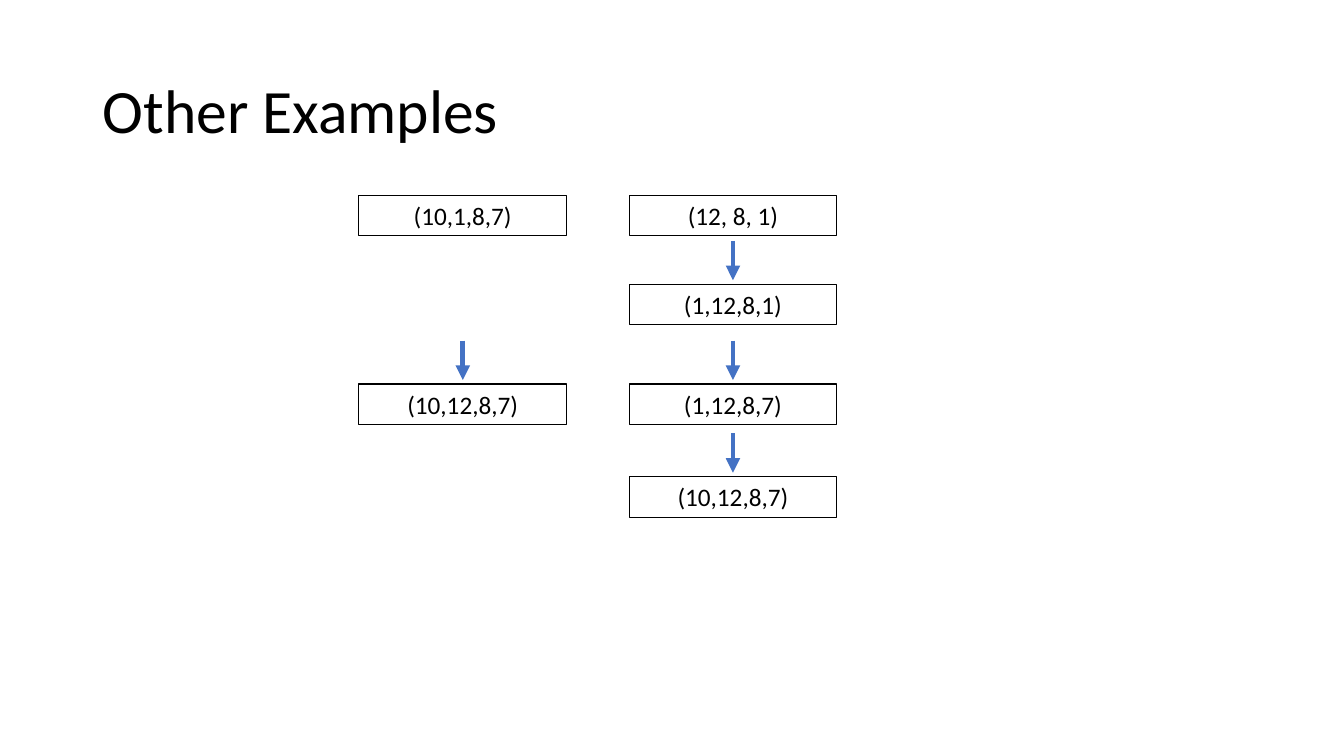
from lxml import etree
from pptx import Presentation
from pptx import util as u
from pptx.dml.color import RGBColor
from pptx.enum import shapes, text
from pptx.oxml.ns import qn

BLACK = "000000"
BLUE = "4472C4"
BOX_WIDTH, BOX_HEIGHT = 2.06, 0.4
ARROW_LENGTH, ARROW_GAP = 0.39, 0.04
ROW_TOPS = [0, 0.88, 1.87, 2.79]


def color(value):
    return RGBColor.from_string(value)


def write_text(shape, content, size=18, align=text.PP_ALIGN.LEFT,
               anchor=text.MSO_ANCHOR.TOP, spacing=1.0,
               auto_size=text.MSO_AUTO_SIZE.NONE):
    frame = shape.text_frame
    frame.word_wrap = True
    frame.auto_size = auto_size
    frame.vertical_anchor = anchor
    paragraph = frame.paragraphs[0]
    paragraph.alignment = align
    paragraph.line_spacing = spacing
    run = paragraph.add_run()
    run.text = content
    run.font.name = "Calibri"
    run.font.size = u.Pt(size)
    run.font.color.rgb = color(BLACK)


def add_title(slide, left, top, width, height, content):
    shape = slide.shapes.add_textbox(*map(u.Inches, (left, top, width, height)))
    write_text(shape, content, size=44, anchor=text.MSO_ANCHOR.MIDDLE, spacing=0.9)


def add_state(slide, left, top, content):
    shape = slide.shapes.add_shape(
        shapes.MSO_SHAPE.RECTANGLE,
        *map(u.Inches, (left, top, BOX_WIDTH, BOX_HEIGHT)))
    shape.shadow.inherit = False
    shape.fill.background()
    shape.line.color.rgb = color(BLACK)
    shape.line.width = u.Pt(0.75)
    write_text(shape, content, align=text.PP_ALIGN.CENTER,
               auto_size=text.MSO_AUTO_SIZE.SHAPE_TO_FIT_TEXT)


def add_arrow(slide, center, bottom):
    connector = slide.shapes.add_connector(
        shapes.MSO_CONNECTOR.STRAIGHT,
        *map(u.Inches, (center, bottom - ARROW_LENGTH, center, bottom)))
    connector.line.color.rgb = color(BLUE)
    connector.line.width = u.Pt(3.5)
    etree.SubElement(connector.line._get_or_add_ln(), qn("a:tailEnd"), type="triangle")
    etree.SubElement(connector._element.spPr, qn("a:effectLst"))


def add_chain(slide, left, top, states):
    for row, content in states.items():
        box_top = top + ROW_TOPS[row]
        add_state(slide, left, box_top, content)
        if row > 0:
            add_arrow(slide, left + BOX_WIDTH / 2, box_top - ARROW_GAP)


def main():
    presentation = Presentation()
    presentation.slide_width = u.Inches(13.33)
    presentation.slide_height = u.Inches(7.5)
    slide = presentation.slides.add_slide(presentation.slide_layouts[6])
    add_title(slide, 0.92, 0.4, 11.5, 1.45, "Other Examples")
    add_chain(slide, 3.56, 1.94, {0: "(10,1,8,7)", 2: "(10,12,8,7)"})
    add_chain(slide, 6.24, 1.94, {0: "(12, 8, 1)", 1: "(1,12,8,1)",
                                  2: "(1,12,8,7)", 3: "(10,12,8,7)"})
    presentation.save("out.pptx")


if __name__ == "__main__":
    main()
